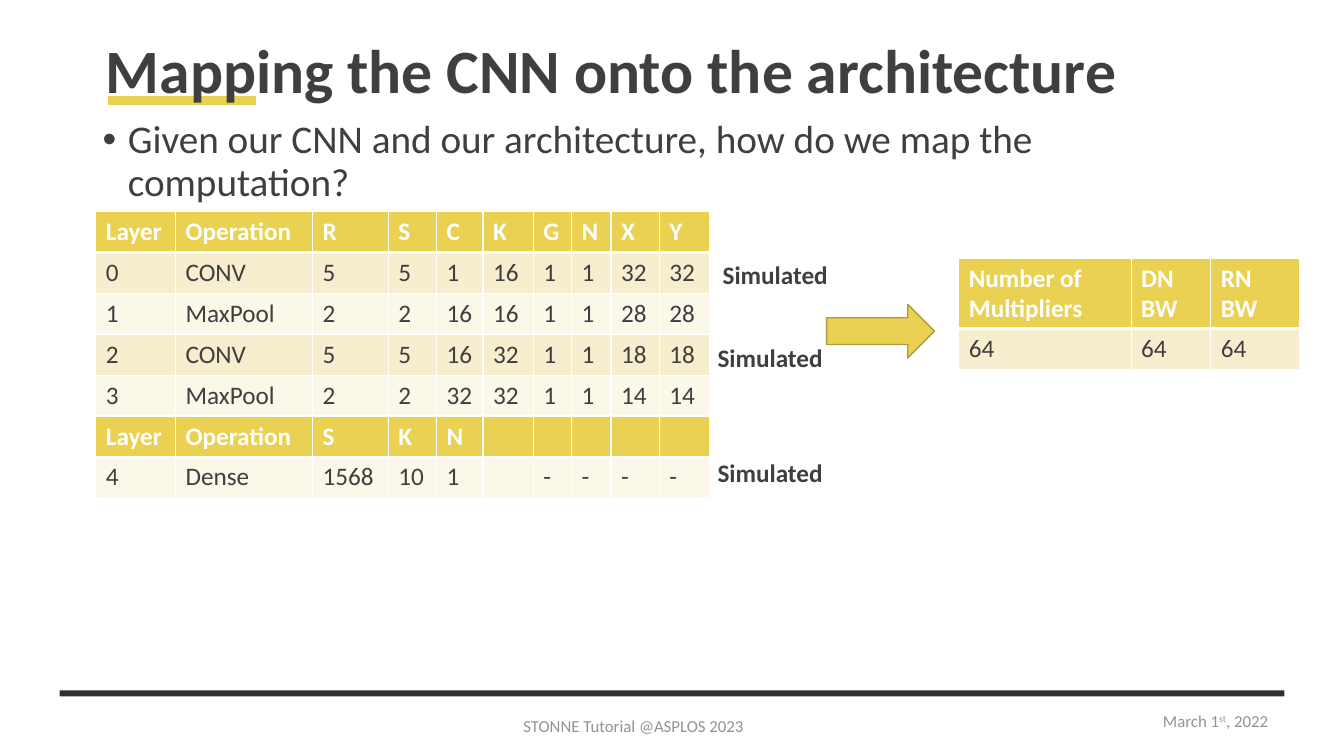
from dataclasses import dataclass
from typing import Any

from lxml.etree import SubElement
from pptx import Presentation
from pptx.dml.color import RGBColor as RGB
from pptx.enum.shapes import MSO_CONNECTOR as CONNECTOR, MSO_SHAPE as SHAPE
from pptx.enum.text import MSO_ANCHOR as ANCHOR, PP_ALIGN as ALIGN
from pptx.oxml.ns import qn
from pptx.util import Emu, Inches, Pt

COLORS = {
    "white": "FFFFFF", "yellow": "EAD151", "olive": "AD9B3C", "text": "3F3F3F",
    "gray": "939393", "rule": "2F2F2F", "band_dark": "F7EED0", "band_light": "FBF7E9",
}
FORMATS: dict[str, dict[str, Any]] = {
    "title": {"name": "Calibri", "size": Pt(44), "bold": True},
    "body": {"name": "Calibri", "size": Pt(28), "bold": False},
    "strong": {"name": "Calibri", "size": Pt(18), "bold": True},
    "cell": {"name": "Calibri", "size": Pt(18), "bold": False},
    "footer": {"name": "Calibri", "size": Pt(12), "bold": False},
}

prs = Presentation()
prs.slide_width, prs.slide_height = Inches(13.33), Inches(7.5)
s = prs.slides.add_slide(prs.slide_layouts[6])


@dataclass(frozen=True)
class Box:
    left: float
    top: float
    width: float
    height: float

    def emu(self) -> tuple[Emu, Emu, Emu, Emu]:
        return col(self.left), row(self.top), col(self.width), row(self.height)


@dataclass(frozen=True)
class Label:
    box: Box
    runs: tuple[str, ...]
    style: str
    color: str = "text"
    align: ALIGN = ALIGN.LEFT
    anchor: ANCHOR = ANCHOR.TOP
    spacing: float = 1.0
    inset: float | None = None
    bullet: bool = False


@dataclass(frozen=True)
class Block:
    box: Box
    shape: SHAPE
    fill: str
    line: str | None = None


@dataclass(frozen=True)
class Grid:
    left: float
    top: float
    cols: tuple[float, ...]
    rows: tuple[float, ...]
    lines: tuple[str, ...]
    headers: tuple[int, ...]


def col(percent: float) -> Emu:
    return Emu(round(prs.slide_width * percent / 100))


def row(percent: float) -> Emu:
    return Emu(round(prs.slide_height * percent / 100))


def rgb(name: str) -> RGB:
    return RGB.from_string(COLORS[name])


def set_font(font: Any, style: str, color: str) -> None:
    for key, value in FORMATS[style].items():
        setattr(font, key, value)
    font.color.rgb = rgb(color)


def draw_label(label: Label) -> None:
    tf = s.shapes.add_textbox(*label.box.emu()).text_frame
    tf.word_wrap, tf.vertical_anchor = True, label.anchor
    if label.inset:
        for side in ("left", "top", "right", "bottom"):
            setattr(tf, f"margin_{side}", Inches(label.inset))
    p = tf.paragraphs[0]
    p.alignment, p.line_spacing = label.align, label.spacing
    if label.bullet:
        pr = p._p.get_or_add_pPr()
        pr.set("marL", str(Inches(0.25)))
        pr.set("indent", str(Inches(-0.25)))
        SubElement(pr, qn("a:buFont")).set("typeface", "Arial")
        SubElement(pr, qn("a:buChar")).set("char", "•")
    for i, text in enumerate(label.runs):
        r = p.add_run()
        r.text = text
        set_font(r.font, label.style, label.color)
        if i == 1:
            r.font._element.set("baseline", "30000")


def draw_block(block: Block) -> None:
    sp = s.shapes.add_shape(block.shape, *block.box.emu())
    sp.shadow.inherit = False
    sp.fill.solid()
    sp.fill.fore_color.rgb = rgb(block.fill)
    if block.line:
        sp.line.color.rgb, sp.line.width = rgb(block.line), Pt(1)
    else:
        sp.line.fill.background()


def set_borders(cell: Any, row_no: int) -> None:
    thick = {"T": row_no == 1, "B": row_no == 0}
    for side in "LRTB":
        width = Pt(3 if thick.get(side) else 1)
        ln = SubElement(cell._tc.get_or_add_tcPr(), qn(f"a:ln{side}"), w=str(width))
        fill = SubElement(ln, qn("a:solidFill"))
        SubElement(fill, qn("a:srgbClr"), val=COLORS["white"])


def draw_grid(grid: Grid) -> None:
    box = Box(grid.left, grid.top, sum(grid.cols), sum(grid.rows))
    table = s.shapes.add_table(len(grid.rows), len(grid.cols), *box.emu()).table
    for column, width in zip(table.columns, grid.cols):
        column.width = col(width)
    for i, (height, line) in enumerate(zip(grid.rows, grid.lines)):
        table.rows[i].height = row(height)
        header = i in grid.headers
        band = "yellow" if header else "band_dark" if i % 2 else "band_light"
        for cell, text in zip(table.rows[i].cells, line.split("|")):
            set_borders(cell, i)
            cell.fill.solid()
            cell.fill.fore_color.rgb = rgb(band)
            p = cell.text_frame.paragraphs[0]
            if text:
                p.add_run().text = text
            for target in (p, *p.runs):
                set_font(target.font, "strong" if header else "cell",
                         "white" if header else "text")


def draw_underline(left: float, right: float, top: float) -> None:
    line = s.shapes.add_connector(CONNECTOR.STRAIGHT, col(left), row(top), col(right), row(top))
    line.line.color.rgb, line.line.width = rgb("yellow"), Pt(6.25)
    SubElement(line._element.spPr, qn("a:effectLst"))


LAYERS = Grid(
    7.13, 28, (5.93, 10.2, 5.63, 3.6, 3.45, 3.75, 2.85, 2.93, 3.6, 3.75), (5.41,) * 7,
    ("Layer|Operation|R|S|C|K|G|N|X|Y",
     "0|CONV|5|5|1|16|1|1|32|32",
     "1|MaxPool|2|2|16|16|1|1|28|28",
     "2|CONV|5|5|16|32|1|1|18|18",
     "3|MaxPool|2|2|32|32|1|1|14|14",
     "Layer|Operation|S|K|N|||||",
     "4|Dense|1568|10|1||-|-|-|-"), (0, 5))
HARDWARE = Grid(
    71.33, 34.13, (12.83, 5.93, 6.6), (9.2, 5.41),
    ("Number of Multipliers|DN BW|RN BW", "64|64|64"), (0,))
LABELS = (
    Label(Box(6.9, 3.6, 86.25, 19.33), ("Mapping the CNN onto the architecture",),
          "title", spacing=0.9, inset=0.13),
    Label(Box(6.9, 15.2, 86.25, 74.93),
          ("Given our CNN and our architecture, how do we map the computation?",),
          "body", spacing=0.9, bullet=True),
    Label(Box(81.9, 92.67, 17.1, 5.33), ("March 1", "st", ", 2022"),
          "footer", "gray", ALIGN.CENTER, ANCHOR.MIDDLE),
    Label(Box(16.5, 93.33, 61.28, 5.33), ("STONNE Tutorial @ASPLOS 2023",),
          "footer", "gray", ALIGN.CENTER, ANCHOR.MIDDLE),
    *(Label(Box(left, top, 9.75, 5.33), ("Simulated",), "strong")
      for left, top in ((53.03, 33.6), (52.65, 44.67), (52.65, 59.87))),
)

draw_block(Block(Box(4.43, 91.33, 91.13, 0.8), SHAPE.RECTANGLE, "rule"))
draw_underline(8.03, 19.05, 13.33)
for label in LABELS:
    draw_label(label)
for grid in (LAYERS, HARDWARE):
    draw_grid(grid)
draw_block(Block(Box(61.5, 40.27, 8.03, 7.07), SHAPE.RIGHT_ARROW, "yellow", "olive"))

prs.save("out.pptx")
